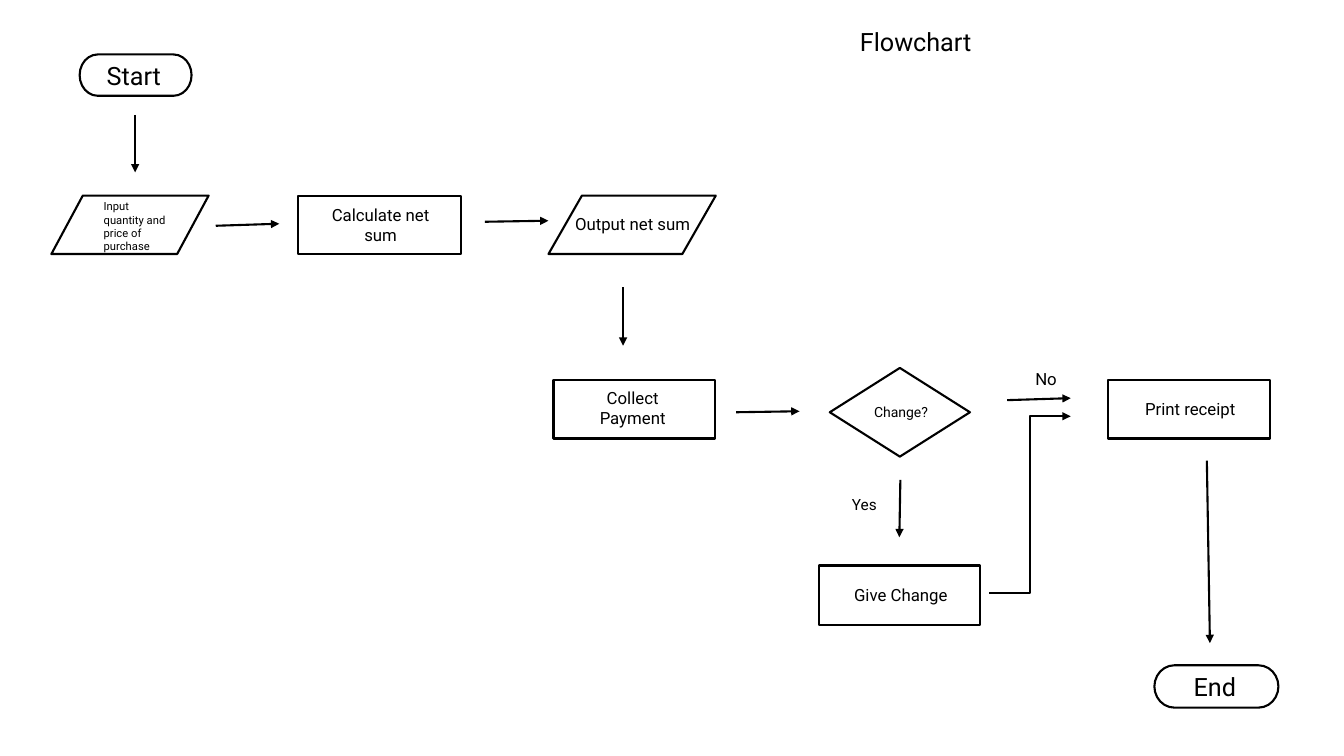
from lxml import etree
from pptx import Presentation
from pptx.dml.color import RGBColor
from pptx.enum.shapes import MSO_CONNECTOR, MSO_SHAPE
from pptx.enum.text import MSO_AUTO_SIZE, PP_ALIGN
from pptx.oxml.ns import qn
from pptx.util import Pt

TERMINATOR = MSO_SHAPE.FLOWCHART_TERMINATOR
PROCESS = MSO_SHAPE.FLOWCHART_PROCESS
DATA = MSO_SHAPE.FLOWCHART_DATA
DECISION = MSO_SHAPE.FLOWCHART_DECISION
STRAIGHT, ELBOW = MSO_CONNECTOR.STRAIGHT, MSO_CONNECTOR.ELBOW
LEFT, CENTER = PP_ALIGN.LEFT, PP_ALIGN.CENTER
FIT = MSO_AUTO_SIZE.SHAPE_TO_FIT_TEXT

PX = 9144
BLACK, WHITE = "000000", "FFFFFF"
FONT = "Roboto"
LINE_PT = 1.5

STEPS = [
    (TERMINATOR, 79, 54, 111, 41),
    (TERMINATOR, 1145, 660, 123, 42),
    (PROCESS, 296, 194, 161, 58),
    (DATA, 51, 194, 156, 58),
    (DECISION, 823, 365, 139, 88),
    (PROCESS, 549, 377, 160, 58),
    (DATA, 544, 194, 166, 58),
    (PROCESS, 812, 561, 160, 59),
    (PROCESS, 1099, 377, 161, 58),
]

ARROWS = [
    (STRAIGHT, 618, 285, 618, 343),
    (STRAIGHT, 134, 114, 134, 171),
    (STRAIGHT, 214, 224, 277, 222),
    (STRAIGHT, 1197, 457, 1200, 638),
    (STRAIGHT, 893, 476, 892, 533),
    (STRAIGHT, 481, 220, 544, 219),
    (STRAIGHT, 730, 409, 793, 408),
    (STRAIGHT, 999, 397, 1062, 395),
    (ELBOW, 981, 588, 1062, 413),
]

LABELS = [
    ("Start", 18, LEFT, 96, 55, 76, 40),
    ("End", 18, LEFT, 1174, 661, 73, 40),
    ("Input quantity and price of purchase", 8, LEFT, 93, 193, 82, 64),
    ("Calculate net sum", 12, CENTER, 310, 198, 135, 50),
    ("Output net sum", 12, CENTER, 560, 207, 135, 30),
    ("Collect Payment", 12, CENTER, 560, 380, 135, 50),
    ("Change?", 10, LEFT, 857, 395, 81, 27),
    ("Print receipt", 12, CENTER, 1113, 391, 135, 30),
    ("Give Change", 12, CENTER, 826, 575, 135, 30),
    ("Yes", 11, LEFT, 835, 486, 45, 30),
    ("No", 12, LEFT, 1017, 361, 46, 30),
    ("Flowchart", 18, LEFT, 843, 21, 471, 40),
]


def rgb(value):
    return RGBColor.from_string(value)


def emu(*lengths):
    return [n * PX for n in lengths]


def outline(s):
    s.line.color.rgb = rgb(BLACK)
    s.line.width = Pt(LINE_PT)


def add_step(shapes, kind, *box):
    s = shapes.add_shape(kind, *emu(*box))
    s.shadow.inherit = False
    s.fill.solid()
    s.fill.fore_color.rgb = rgb(WHITE)
    outline(s)


def add_arrow(shapes, kind, *ends):
    s = shapes.add_connector(kind, *emu(*ends))
    outline(s)
    etree.SubElement(s.line._get_or_add_ln(), qn("a:tailEnd"), type="triangle")
    etree.SubElement(s._element.spPr, qn("a:effectLst"))


def add_label(shapes, text, size, align, *box):
    tf = shapes.add_textbox(*emu(*box)).text_frame
    tf.word_wrap = True
    tf.auto_size = FIT
    p = tf.paragraphs[0]
    p.alignment = align
    r = p.add_run()
    r.text = text
    r.font.name = FONT
    r.font.size = Pt(size)
    r.font.color.rgb = rgb(BLACK)


def main():
    prs = Presentation()
    prs.slide_width, prs.slide_height = emu(1333, 750)
    shapes = prs.slides.add_slide(prs.slide_layouts[6]).shapes
    for add, items in ((add_step, STEPS), (add_arrow, ARROWS), (add_label, LABELS)):
        for item in items:
            add(shapes, *item)
    prs.save("out.pptx")


if __name__ == "__main__":
    main()
